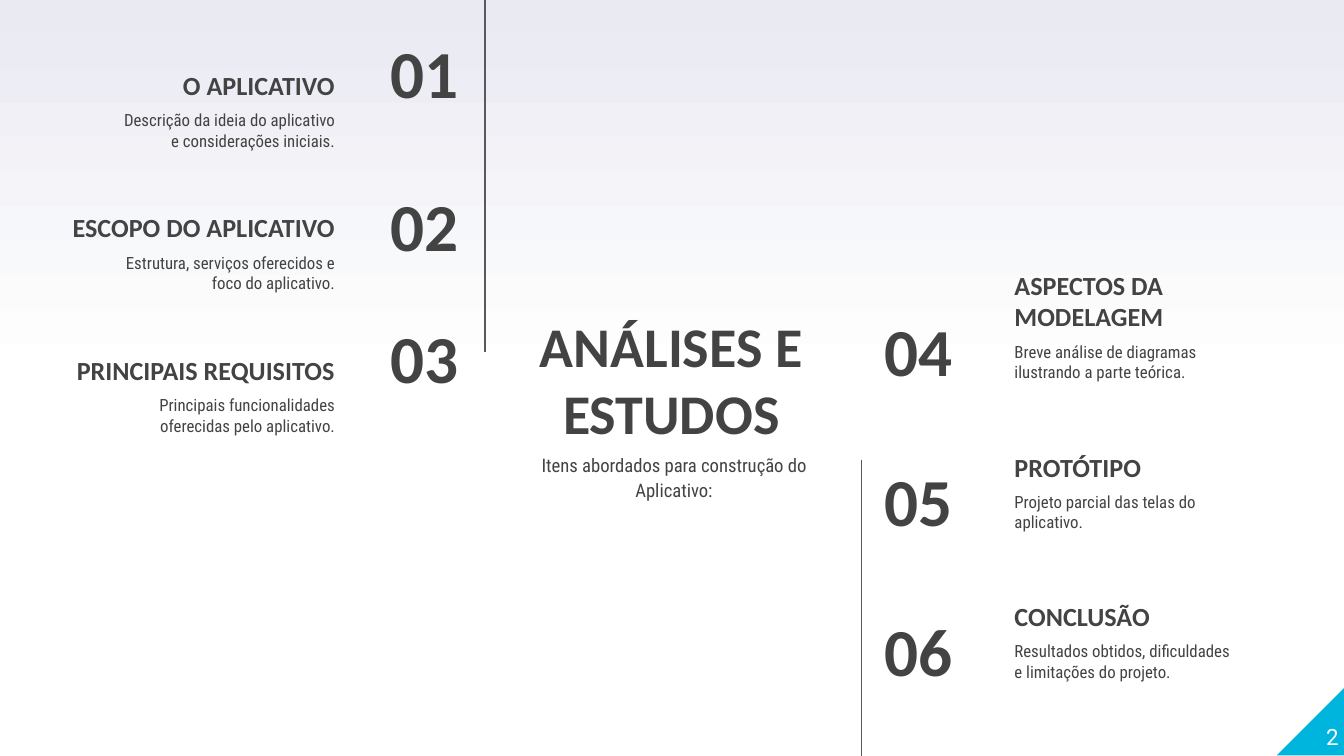
from copy import deepcopy

from pptx import Presentation
from pptx.dml.color import RGBColor
from pptx.enum.shapes import MSO_CONNECTOR as LINK, MSO_SHAPE as SHAPE
from pptx.enum.text import MSO_ANCHOR as ANCHOR, PP_ALIGN as ALIGN
from pptx.oxml.ns import qn
from pptx.util import Inches, Pt

INK = RGBColor(0x43, 0x43, 0x43)
RULE = RGBColor(0x59, 0x59, 0x59)
CYAN = RGBColor(0x00, 0xB5, 0xDD)
WHITE = RGBColor(0xFF, 0xFF, 0xFF)
MIST = RGBColor(0xE9, 0xEA, 0xF2)

TITLE = "ANÁLISES E ESTUDOS"
INTRO = "Itens abordados para construção do Aplicativo:"
PAGE = "2"

# heading, description, top of heading, top of number
LEFT = [
    ("O APLICATIVO", "Descrição da ideia do aplicativo e considerações iniciais.", 0.22, 0.22),
    ("ESCOPO DO APLICATIVO", "Estrutura, serviços oferecidos e foco do aplicativo.", 1.28, 1.36),
    ("PRINCIPAIS REQUISITOS", "Principais funcionalidades oferecidas pelo aplicativo.", 2.34, 2.34),
]
RIGHT = [
    ("ASPECTOS DA MODELAGEM", "Breve análise de diagramas ilustrando a parte teórica.", 1.94, 2.29),
    ("PROTÓTIPO", "Projeto parcial das telas do aplicativo.", 3.06, 3.4),
    ("CONCLUSÃO", "Resultados obtidos, dificuldades e limitações do projeto.", 4.17, 4.52),
]
# items, alignment, first number, left and width of heading, description, number
SIDES = [
    (LEFT, ALIGN.RIGHT, 1, (0.12, 2.47), (0.76, 1.83), (2.3, 1.21)),
    (RIGHT, ALIGN.LEFT, 4, (7.45, 2.16), (7.45, 1.83), (6.48, 1.17)),
]
RULES = [(3.61, 0, 2.62), (6.41, 3.42, 5.64)]  # x, top, bottom
STOPS = [(0, WHITE), (0.5, WHITE), (1, MIST)]
ROW = 0.63
DROP = 0.5  # from heading top to description top

STYLES = {
    "title": dict(name="Calibri", size=Pt(30), bold=True),
    "head": dict(name="Calibri", size=Pt(14), bold=True),
    "num": dict(name="Calibri", size=Pt(36), bold=True),
    "body": dict(name="Roboto Condensed", size=Pt(9)),
    "intro": dict(name="Roboto Condensed", size=Pt(10)),
    "page": dict(name="Roboto", size=Pt(12)),
}


def add_text(slide, text, box, style, align, anchor=ANCHOR.TOP, inset=0.1, color=INK):
    frame = slide.shapes.add_textbox(*map(Inches, box)).text_frame
    frame.word_wrap = True
    frame.vertical_anchor = anchor
    for side in ("left", "top", "right", "bottom"):
        setattr(frame, f"margin_{side}", Inches(inset))
    para = frame.paragraphs[0]
    para.alignment = align
    run = para.add_run()
    run.text = text
    for key, value in STYLES[style].items():
        setattr(run.font, key, value)
    run.font.color.rgb = color
    return para


def paint_back(slide):
    fill = slide.background.fill
    fill.gradient()
    fill.gradient_angle = 90
    first = slide.element.find(".//" + qn("a:gs"))
    first.addnext(deepcopy(first))
    for stop, (place, color) in zip(fill.gradient_stops, STOPS):
        stop.position = place
        stop.color.rgb = color


def add_rule(slide, x, top, bottom):
    ends = map(Inches, (x, top, x, bottom))
    rule = slide.shapes.add_connector(LINK.STRAIGHT, *ends)
    rule.line.color.rgb = RULE
    rule.line.width = Pt(0.75)
    props = rule.element.spPr
    props.append(props.makeelement(qn("a:effectLst"), {}))


def add_corner(slide):
    box = map(Inches, (9.5, 5.11, 0.51, 0.51))
    corner = slide.shapes.add_shape(SHAPE.RIGHT_TRIANGLE, *box)
    corner.rotation = 270
    corner.shadow.inherit = False
    corner.fill.solid()
    corner.fill.fore_color.rgb = CYAN
    corner.line.fill.background()
    add_text(slide, PAGE, (9.46, 5.07, 0.5, 0.51), "page", ALIGN.RIGHT,
             ANCHOR.BOTTOM, 0, WHITE)


def main():
    deck = Presentation()
    deck.slide_width = Inches(10)
    deck.slide_height = deck.slide_width * 9 // 16
    slide = deck.slides.add_slide(deck.slide_layouts[6])
    paint_back(slide)
    add_corner(slide)

    add_text(slide, TITLE, (3.7, 2.3, 2.59, 1.03), "title", ALIGN.CENTER, ANCHOR.MIDDLE)
    intro = add_text(slide, INTRO, (3.78, 3.25, 2.47, ROW), "intro", ALIGN.CENTER)
    intro.line_spacing = 1.15
    intro.space_after = Pt(16)

    for rule in RULES:
        add_rule(slide, *rule)

    for items, align, start, head, body, num in SIDES:
        for count, (name, note, top, mark) in enumerate(items, start):
            for text, (x, width), y, style, anchor in (
                (name, head, top, "head", ANCHOR.BOTTOM),
                (note, body, top + DROP, "body", ANCHOR.TOP),
                (f"{count:02}", num, mark, "num", ANCHOR.MIDDLE),
            ):
                add_text(slide, text, (x, y, width, ROW), style, align, anchor)

    deck.save("out.pptx")


if __name__ == "__main__":
    main()
